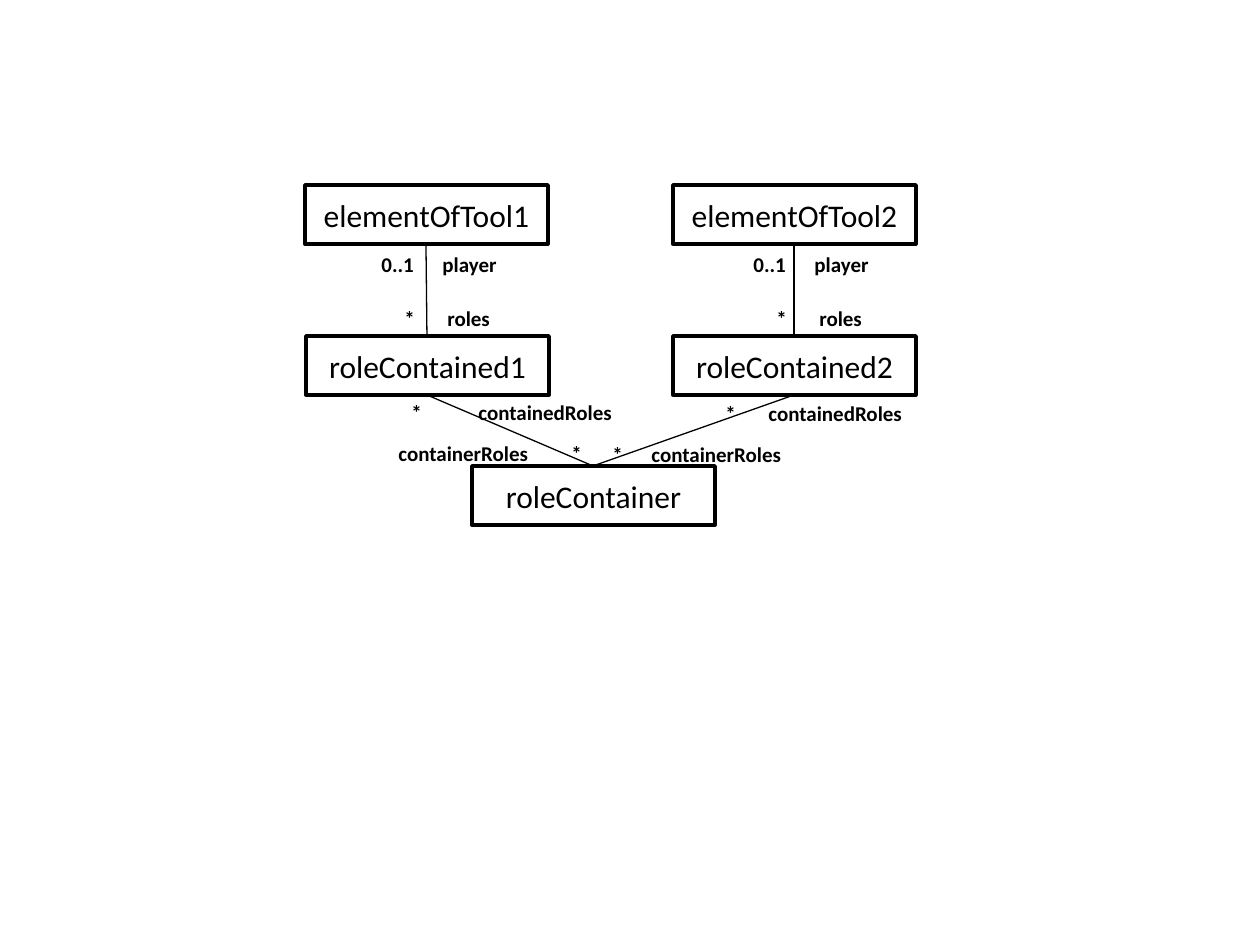
from dataclasses import dataclass

from lxml import etree
from pptx import Presentation
from pptx.dml.color import RGBColor
from pptx.enum.shapes import MSO_CONNECTOR, MSO_SHAPE
from pptx.enum.text import MSO_ANCHOR, PP_ALIGN
from pptx.oxml.ns import qn
from pptx.util import Emu, Inches, Pt

PX_PER_INCH = 126
BLACK = RGBColor(0, 0, 0)
WHITE = RGBColor(255, 255, 255)
FONT = "Calibri"
RECTANGLE = MSO_SHAPE.RECTANGLE
STRAIGHT = MSO_CONNECTOR.STRAIGHT
CENTER = PP_ALIGN.CENTER
LEFT = PP_ALIGN.LEFT
MIDDLE = MSO_ANCHOR.MIDDLE

CLASS_W, CLASS_H = 243, 59
LABEL_H = 38
ELEMENT_Y, ROLE_Y, CONTAINER_Y = 185, 336, 466


@dataclass(frozen=True)
class ClassBox:
    name: str
    x: int
    y: int

    @property
    def top(self) -> tuple[int, int]:
        return self.x + CLASS_W // 2, self.y

    @property
    def bottom(self) -> tuple[int, int]:
        return self.x + CLASS_W // 2, self.y + CLASS_H


@dataclass(frozen=True)
class EndLabel:
    first: str
    second: str
    x: int
    y: int
    width: int
    tab: int  # distance from the first word to the second


def px(pixels: int) -> Emu:
    return Emu(round(pixels * Inches(1) / PX_PER_INCH))


def style_text(paragraph, size: int, bold: bool, alignment) -> None:
    paragraph.alignment = alignment
    font = paragraph.font
    font.name, font.size, font.bold = FONT, Pt(size), bold
    font.color.rgb = BLACK


def draw_class(slide, box: ClassBox) -> None:
    shape = slide.shapes.add_shape(
        RECTANGLE, px(box.x), px(box.y), px(CLASS_W), px(CLASS_H))
    shape.shadow.inherit = False
    shape.fill.solid()
    shape.fill.fore_color.rgb = WHITE
    shape.line.color.rgb = BLACK
    shape.line.width = Pt(2)
    frame = shape.text_frame
    frame.vertical_anchor = MIDDLE
    frame.text = box.name
    style_text(frame.paragraphs[0], 18, False, CENTER)


def draw_association(slide, start: tuple[int, int], end: tuple[int, int]) -> None:
    line = slide.shapes.add_connector(STRAIGHT, *map(px, start + end))
    line.line.color.rgb = BLACK
    line.line.width = Pt(0.75)
    etree.SubElement(line._element.spPr, qn("a:effectLst"))


def draw_label(slide, label: EndLabel) -> None:
    box = slide.shapes.add_textbox(
        px(label.x), px(label.y), px(label.width), px(LABEL_H))
    frame = box.text_frame
    frame.word_wrap = True
    frame.margin_right = 0
    frame.text = f"{label.first}\t{label.second}"
    paragraph = frame.paragraphs[0]
    style_text(paragraph, 12, True, LEFT)
    # The tab stop must precede the default run properties
    tabs = etree.Element(qn("a:tabLst"))
    etree.SubElement(tabs, qn("a:tab"), pos=str(px(label.tab)), algn="l")
    paragraph._p.get_or_add_pPr().insert(0, tabs)


presentation = Presentation()
presentation.slide_width, presentation.slide_height = Inches(10), Inches(7.5)
slide = presentation.slides.add_slide(presentation.slide_layouts[6])

# Classes
elements = [ClassBox("elementOfTool1", 305, ELEMENT_Y),
            ClassBox("elementOfTool2", 673, ELEMENT_Y)]
roles = [ClassBox("roleContained1", 306, ROLE_Y),
         ClassBox("roleContained2", 673, ROLE_Y)]
container = ClassBox("roleContainer", 472, CONTAINER_Y)
for class_box in [*elements, *roles, container]:
    draw_class(slide, class_box)

# Associations
for element, role in zip(elements, roles):
    draw_association(slide, container.top, role.bottom)
    draw_association(slide, role.top, element.bottom)

# Multiplicities and role names
containment_labels = [
    EndLabel("*", "containedRoles", 713, 394, 205, 43),
    EndLabel("*", "containedRoles", 399, 393, 229, 67),
    EndLabel("*", "containerRoles", 600, 435, 197, 39),
    EndLabel("containerRoles", "*", 386, 434, 210, 173),
]
player_labels = [
    label
    for x in (369, 741)
    for label in (EndLabel("0..1", "player", x, 245, 147, 61),
                  EndLabel("*", "roles", x + 23, 299, 113, 43))
]
for end_label in containment_labels + player_labels:
    draw_label(slide, end_label)

presentation.save("out.pptx")
